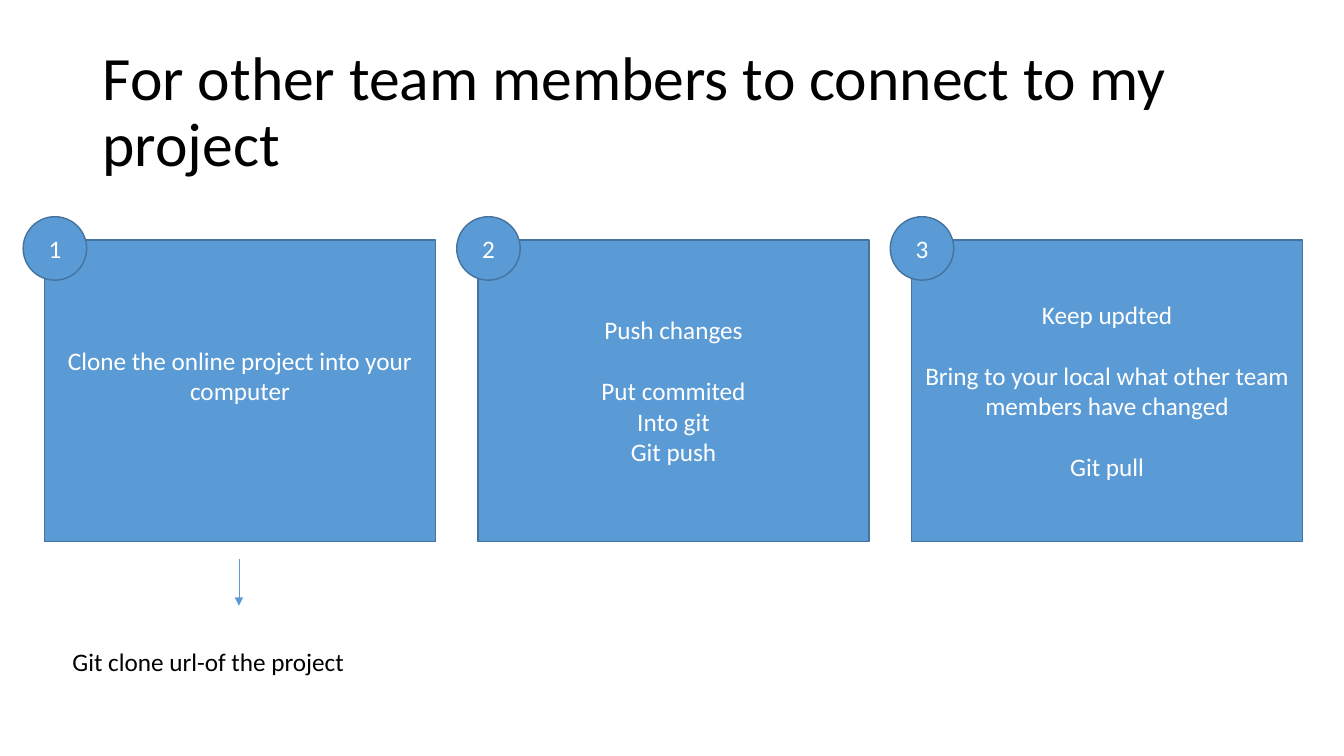
from lxml import etree
from pptx import Presentation
from pptx.dml.color import RGBColor
from pptx.enum.shapes import MSO_CONNECTOR, MSO_SHAPE
from pptx.enum.text import MSO_ANCHOR, PP_ALIGN
from pptx.oxml.ns import qn
from pptx.util import Inches, Pt

RECT, OVAL = MSO_SHAPE.RECTANGLE, MSO_SHAPE.OVAL
STRAIGHT = MSO_CONNECTOR.STRAIGHT
TOP, MIDDLE = MSO_ANCHOR.TOP, MSO_ANCHOR.MIDDLE
LEFT, CENTER = PP_ALIGN.LEFT, PP_ALIGN.CENTER

BLUE = RGBColor(0x5B, 0x9B, 0xD5)
DARK_BLUE = RGBColor(0x43, 0x73, 0x9E)
BLACK = RGBColor(0, 0, 0)
WHITE = RGBColor(0xFF, 0xFF, 0xFF)

FONT = "Calibri"
BODY_SIZE = 18
LINE_HEIGHT = 22  # points, one line of body text

# Grid of step cards, in inches
CARD_LEFT, CARD_TOP, CARD_W, CARD_H = 0.44, 2.38, 3.88, 2.99
CARD_PITCH = 4.3
BADGE_SIZE, BADGE_DX, BADGE_DY = 0.63, -0.21, -0.23

# Each step is a list of text groups; a group is a list of lines
STEPS = [
    [["Clone the online project into your computer"]],
    [["Push changes"], ["Put commited", "Into git", "Git push"]],
    [["Keep updted"],
     ["Bring to your local what other team members have changed"],
     ["Git pull"]],
]


def write(tf, groups, size, color, align, anchor):
    """Fill a text frame, with a one-line gap between groups."""
    tf.word_wrap = True
    tf.vertical_anchor = anchor
    lines = [(line, g > 0 and i == 0)
             for g, group in enumerate(groups) for i, line in enumerate(group)]
    for n, (line, gap) in enumerate(lines):
        p = tf.add_paragraph() if n else tf.paragraphs[0]
        p.text = line
        p.alignment = align
        if gap:
            p.space_before = Pt(LINE_HEIGHT)
        font = p.runs[0].font
        font.name, font.size = FONT, Pt(size)
        font.color.rgb = color


def add_text(slide, box, text, size, anchor):
    tf = slide.shapes.add_textbox(*map(Inches, box)).text_frame
    write(tf, [[text]], size, BLACK, LEFT, anchor)
    return tf


def add_blue_shape(slide, kind, box, groups):
    sp = slide.shapes.add_shape(kind, *map(Inches, box))
    sp.shadow.inherit = False
    sp.fill.solid()
    sp.fill.fore_color.rgb = BLUE
    sp.line.color.rgb = DARK_BLUE
    sp.line.width = Pt(1)
    write(sp.text_frame, groups, BODY_SIZE, WHITE, CENTER, MIDDLE)
    return sp


def add_step(slide, box, number, groups):
    """A card with a numbered badge on its top left corner."""
    left, top = box[:2]
    card = add_blue_shape(slide, RECT, box, groups)
    badge = (left + BADGE_DX, top + BADGE_DY, BADGE_SIZE, BADGE_SIZE)
    add_blue_shape(slide, OVAL, badge, [[str(number)]])
    return card


def add_command(slide, box):
    """An arrow down from the card in the box, and the command below it."""
    left, top, width, height = box
    x, bottom = left + width / 2 - 0.01, top + height
    line = slide.shapes.add_connector(
        STRAIGHT, *map(Inches, (x, bottom + 0.18, x, bottom + 0.64)))
    line.line.color.rgb = BLUE
    line.line.width = Pt(0.5)
    etree.SubElement(line.line._get_or_add_ln(), qn("a:tailEnd"), type="triangle")
    etree.SubElement(line._element.spPr, qn("a:effectLst"))
    add_text(slide, (left + 0.18, bottom + 0.99, width - 0.18, 0.4),
             "Git clone url-of the project", BODY_SIZE, TOP)


def main():
    prs = Presentation()
    prs.slide_width, prs.slide_height = Inches(13.33), Inches(7.5)
    slide = prs.slides.add_slide(prs.slide_layouts[6])

    # Title
    tf = add_text(slide, (0.92, 0.4, 11.5, 1.45),
                  "For other team members to connect to my project", 44, MIDDLE)
    tf.paragraphs[0].line_spacing = 0.9

    # Step cards
    boxes = [(CARD_LEFT + i * CARD_PITCH, CARD_TOP, CARD_W, CARD_H)
             for i in range(len(STEPS))]
    cards = [add_step(slide, box, n, groups)
             for n, (box, groups) in enumerate(zip(boxes, STEPS), 1)]
    # The first card's text sits half a line above the middle
    cards[0].text_frame.margin_bottom = Inches(0.05) + Pt(LINE_HEIGHT)

    # Command under the first step
    add_command(slide, boxes[0])

    prs.save("out.pptx")


if __name__ == "__main__":
    main()
